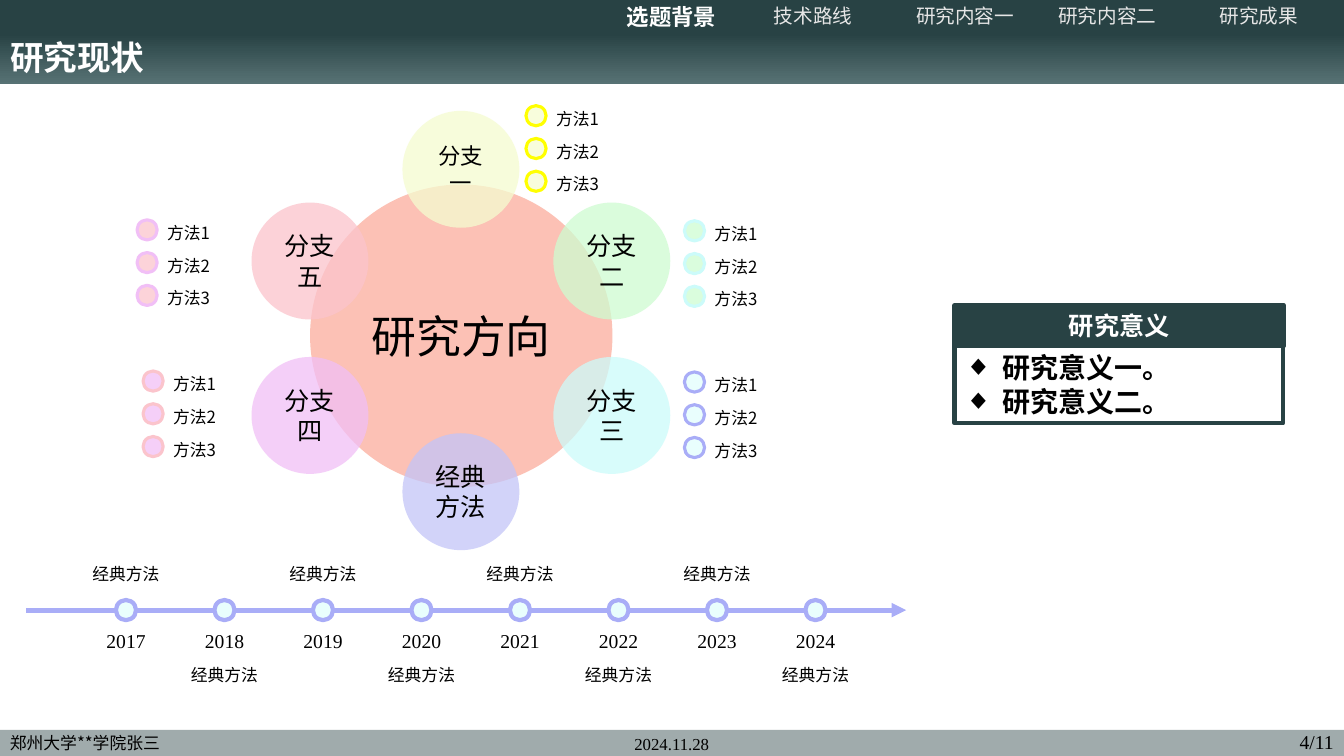
from dataclasses import dataclass

from lxml.etree import SubElement
from pptx import Presentation
from pptx.dml.color import RGBColor
from pptx.enum.shapes import MSO_CONNECTOR, MSO_SHAPE
from pptx.enum.text import MSO_ANCHOR, MSO_AUTO_SIZE, PP_ALIGN
from pptx.oxml.ns import qn
from pptx.util import Pt


@dataclass(frozen=True)
class Theme:
    dark: str = "284244"
    dark_end: str = "577274"
    white: str = "FFFFFF"
    muted: str = "E6E6E6"
    black: str = "000000"
    hub: str = "FCC1B5"
    axis: str = "A9ADF7"
    axis_dot: str = "E9FEFD"
    sans: str = "Noto Sans CJK SC"
    serif: str = "Times New Roman"
    small: int = 12
    note: int = 14
    tab: int = 16
    body: int = 18
    point: int = 20
    title: int = 24
    hub_size: int = 32


T = Theme()


@dataclass(frozen=True)
class Box:
    left: float
    top: float
    width: float
    height: float


@dataclass(frozen=True)
class Style:
    size: int = T.small
    color: str = T.black
    font: str = T.sans
    bold: bool = False
    align: PP_ALIGN = PP_ALIGN.LEFT
    anchor: MSO_ANCHOR = MSO_ANCHOR.TOP
    wrap: bool = True
    spacing: float = 1.0


@dataclass(frozen=True)
class Tab:
    text: str
    left: float
    width: float
    active: bool = False


@dataclass(frozen=True)
class Branch:
    text: str
    left: float
    top: float
    color: str
    size: int = T.body


@dataclass(frozen=True)
class Methods:
    left: float
    top: float
    fill: str
    line: str


TABS = [
    Tab("选题背景", 440.64, 64, True),
    Tab("技术路线", 545.76, 60.5),
    Tab("研究内容一", 647.28, 60.5),
    Tab("研究内容二", 748.8, 74),
    Tab("研究成果", 864, 65.5),
]
BRANCHES = [
    Branch("分支一", 287.5, 79.2, "F5FCD0", T.tab),
    Branch("分支二", 395.3, 144.7, "CEFCD1"),
    Branch("分支三", 395.3, 255, "CCFBFA"),
    Branch("经典方法", 287.5, 309.5, "C3C5F8"),
    Branch("分支四", 179.7, 255, "F1BFF6"),
    Branch("分支五", 179.7, 144.7, "FBC4CC"),
]
METHODS = [
    Methods(375.7, 75.5, "F8FDDC", "FFFF00"),
    Methods(488.9, 157.7, "DAFDDD", "CCFBFA"),
    Methods(488.9, 265.7, "E9FEFD", "A9ADF7"),
    Methods(102.2, 265, "F5CFF8", "FBC4CC"),
    Methods(97.9, 157, "FCD3D9", "F1BFF6"),
]
BRANCH_SIZE = 83.5
DOT = 14.4
METHOD_STEP = 23.4
AXIS_Y = 435.8
FIRST_X, YEAR_STEP = 90, 70.36
YEARS = range(2017, 2025)


def write(shape, style: Style, *lines: str) -> None:
    tf = shape.text_frame
    frame = {"word_wrap": style.wrap, "vertical_anchor": style.anchor,
             "auto_size": MSO_AUTO_SIZE.NONE}
    for name, value in frame.items():
        setattr(tf, name, value)
    for i, line in enumerate(lines):
        p = tf.add_paragraph() if i else tf.paragraphs[0]
        p.alignment, p.line_spacing = style.align, style.spacing
        r = p.add_run()
        r.text = line
        font = {"name": style.font, "size": Pt(style.size), "bold": style.bold}
        for name, value in font.items():
            setattr(r.font, name, value)
        r.font.color.rgb = RGBColor.from_string(style.color)
        SubElement(r.font._element, qn("a:ea"), typeface=T.sans)


def place(shape, box: Box) -> None:
    for name in ("left", "top", "width", "height"):
        setattr(shape, name, Pt(getattr(box, name)))


def add_text(s, box: Box, style: Style, text: str) -> None:
    sp = s.shapes.add_textbox(0, 0, 0, 0)
    place(sp, box)
    write(sp, style, text)


def add_shape(s, kind: MSO_SHAPE, box: Box, fill: str = "", line: str = "",
              weight: float = 0, opacity: int = 100):
    sp = s.shapes.add_shape(kind, 0, 0, 0, 0)
    place(sp, box)
    sp.shadow.inherit = False
    if fill:
        sp.fill.solid()
        sp.fill.fore_color.rgb = RGBColor.from_string(fill)
        if opacity < 100:
            color = sp._element.spPr.find(qn("a:solidFill"))[0]
            SubElement(color, qn("a:alpha"), val=str(opacity * 1000))
    else:
        sp.fill.background()
    if line:
        sp.line.color.rgb = RGBColor.from_string(line)
        sp.line.width = Pt(weight)
    else:
        sp.line.fill.background()
    return sp


def draw_frame(s) -> None:
    """Header bands, title, section tabs and footer."""
    add_shape(s, MSO_SHAPE.RECTANGLE, Box(0, 521.3, 960, 18.7), T.dark, opacity=44)
    add_shape(s, MSO_SHAPE.RECTANGLE, Box(0, 0, 960, 23), T.dark)
    band = add_shape(s, MSO_SHAPE.RECTANGLE, Box(0, 22.3, 960, 37.7), T.dark)
    band.fill.gradient()
    band.fill.gradient_angle = 270
    for stop, at, color in zip(band.fill.gradient_stops, (0.05, 1), (T.dark, T.dark_end)):
        stop.position = at
        stop.color.rgb = RGBColor.from_string(color)

    title = s.shapes.title
    band._element.addnext(title._element)
    place(title, Box(0, 25.9, 175, 38.2))
    write(title, Style(T.title, T.white, bold=True, spacing=0.9), "研究现状")
    for tab in TABS:
        style = Style(T.tab if tab.active else T.note, T.white if tab.active else T.muted,
                      bold=tab.active, anchor=MSO_ANCHOR.MIDDLE, wrap=False)
        add_text(s, Box(tab.left, -2.9, tab.width, 28.8), style, tab.text)

    add_text(s, Box(0, 519.8, 127.5, 21.6), Style(), "郑州大学**学院张三")
    add_text(s, Box(425.5, 520.6, 108.7, 21.6),
             Style(font=T.serif, align=PP_ALIGN.CENTER), "2024.11.28")
    add_text(s, Box(899.3, 520.6, 60.5, 18.7),
             Style(T.note, font=T.serif, align=PP_ALIGN.RIGHT, anchor=MSO_ANCHOR.MIDDLE), "4/11")


def draw_wheel(s) -> None:
    centred = {"align": PP_ALIGN.CENTER, "anchor": MSO_ANCHOR.MIDDLE}
    hub = add_shape(s, MSO_SHAPE.OVAL, Box(221.5, 131.8, 216, 216), T.hub)
    write(hub, Style(T.hub_size, **centred), "研究方向")
    for b in BRANCHES:
        sp = add_shape(s, MSO_SHAPE.OVAL, Box(b.left, b.top, BRANCH_SIZE, BRANCH_SIZE),
                       b.color, opacity=75)
        write(sp, Style(b.size, **centred), b.text)
    for m in METHODS:
        for i in range(3):
            top = m.top + i * METHOD_STEP
            add_shape(s, MSO_SHAPE.OVAL, Box(m.left, top, DOT, DOT), m.fill, m.line, 2.25)
            add_text(s, Box(m.left + DOT, top - 1.5, 52.6, 21.6), Style(), f"方法{i + 1}")


def draw_timeline(s) -> None:
    axis = s.shapes.add_connector(MSO_CONNECTOR.STRAIGHT, Pt(18.7), Pt(AXIS_Y),
                                  Pt(647.3), Pt(AXIS_Y))
    axis.line.color.rgb = RGBColor.from_string(T.axis)
    axis.line.width = Pt(3.5)
    SubElement(axis.line._get_or_add_ln(), qn("a:tailEnd"), type="triangle")
    SubElement(axis._element.spPr, qn("a:effectLst"))
    for i, year in enumerate(YEARS):
        x = FIRST_X + i * YEAR_STEP
        add_shape(s, MSO_SHAPE.OVAL, Box(x - DOT / 2, AXIS_Y - DOT / 2, DOT, DOT),
                  T.axis_dot, T.axis, 3)
        add_text(s, Box(x - 21.2, 445.7, 42.5, 24.5),
                 Style(T.note, font=T.serif, align=PP_ALIGN.CENTER, wrap=False), str(year))
        add_text(s, Box(x - 33.5, 471.6 if i % 2 else 398.9, 67, 21.6),
                 Style(font=T.serif, align=PP_ALIGN.CENTER), "经典方法")


def draw_significance(s) -> None:
    body = add_shape(s, MSO_SHAPE.RECTANGLE, Box(681.8, 247, 234.7, 55.4), "", T.dark, 3)
    write(body, Style(T.point, bold=True), "研究意义一。", "研究意义二。")
    for p in body.text_frame.paragraphs:
        pPr = p._p.get_or_add_pPr()
        for name, value in {"marL": 27, "indent": -27}.items():
            pPr.set(name, str(Pt(value)))
        SubElement(pPr, qn("a:buFont"), typeface=T.serif)
        SubElement(pPr, qn("a:buChar"), char="◆")
    head = add_shape(s, MSO_SHAPE.RECTANGLE, Box(681.8, 218.2, 235.4, 28.8), T.dark, T.dark, 3)
    write(head, Style(T.body, T.white, bold=True, align=PP_ALIGN.CENTER), "研究意义")


def main() -> None:
    prs = Presentation()
    prs.slide_width, prs.slide_height = Pt(960), Pt(540)
    s = prs.slides.add_slide(prs.slide_layouts[5])
    for draw in (draw_frame, draw_wheel, draw_timeline, draw_significance):
        draw(s)
    prs.save("out.pptx")


if __name__ == "__main__":
    main()
